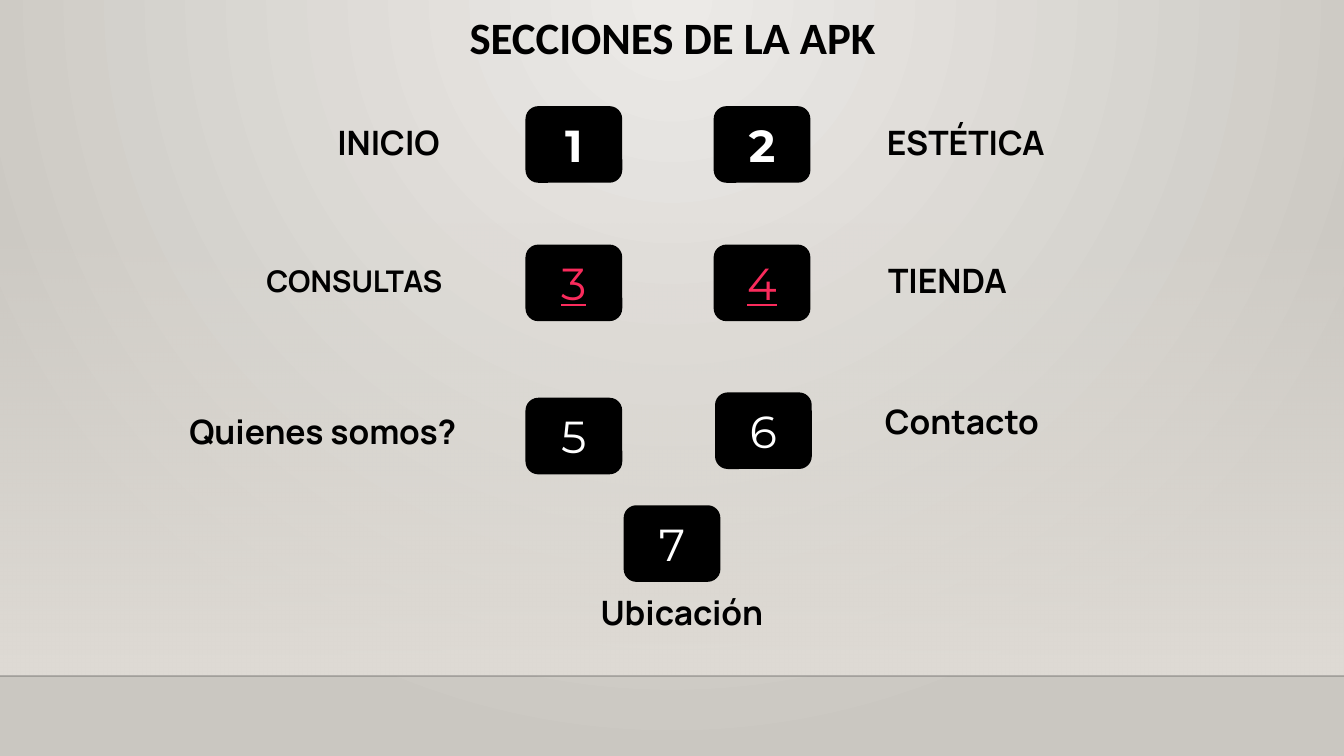
"""Build the slide that lists the seven sections of the app."""
from lxml import etree
from pptx import Presentation
from pptx.dml.color import RGBColor
from pptx.enum.shapes import MSO_CONNECTOR as CONNECTOR, MSO_SHAPE as SHAPE
from pptx.enum.text import MSO_ANCHOR as ANCHOR, MSO_AUTO_SIZE as AUTO_SIZE, PP_ALIGN as ALIGN
from pptx.oxml import parse_xml
from pptx.oxml.ns import nsdecls, qn
from pptx.util import Inches, Pt

COLORS = {"black": "000000", "white": "FFFFFF", "pink": "FA2B5C", "line": "000001",
          "light": "ECEAE7", "dark": "CAC7C1", "wall": "DFDBD5"}


def set_gradient(properties, stops, direction):
    """Replace the solid fill in the properties with a gradient."""
    stop_xml = "".join(
        f'<a:gs pos="{position * 1000}"><a:srgbClr val="{COLORS[color]}">'
        f'<a:alpha val="{alpha * 1000}"/></a:srgbClr></a:gs>'
        for position, color, alpha in stops)
    gradient = parse_xml(f'<a:gradFill {nsdecls("a")} rotWithShape="1">'
                         f'<a:gsLst>{stop_xml}</a:gsLst>{direction}</a:gradFill>')
    properties.replace(properties.find(qn("a:solidFill")), gradient)


def write_text(shape, text, align, color="black", spacing=1.0, **font_format):
    """Put one formatted paragraph in the shape."""
    frame = shape.text_frame
    frame_format = {"word_wrap": True, "auto_size": AUTO_SIZE.NONE,
                    "vertical_anchor": ANCHOR.MIDDLE}
    frame_format.update({f"margin_{side}": Inches(0.1)
                         for side in ("left", "top", "right", "bottom")})
    for name, value in frame_format.items():
        setattr(frame, name, value)
    paragraph = frame.paragraphs[0]
    paragraph.alignment = align
    paragraph.line_spacing = spacing
    run = paragraph.add_run()
    run.text = text
    for name, value in font_format.items():
        setattr(run.font, name, value)
    run.font.color.rgb = RGBColor.from_string(COLORS[color])


presentation = Presentation()
presentation.slide_width = Inches(10)
presentation.slide_height = Inches(10 * 9 / 16)
slide = presentation.slides.add_slide(presentation.slide_layouts[5])
shapes = slide.shapes

slide.background.fill.solid()
set_gradient(slide.element.xpath(".//p:bgPr")[0], [(0, "light", 100), (100, "dark", 100)],
             '<a:path path="circle"><a:fillToRect l="43000" r="43000" b="100000"/></a:path>')

wall = shapes.add_shape(SHAPE.RECTANGLE, 0, Inches(1.66), Inches(10), Inches(3.37))
wall.shadow.inherit = False
wall.line.fill.background()
wall.fill.solid()
set_gradient(wall.element.spPr, [(0, "wall", 0), (100, "wall", 100)],
             '<a:lin ang="5400000" scaled="0"/>')

floor_line = shapes.add_connector(CONNECTOR.STRAIGHT, 0, Inches(5.03), Inches(10), Inches(5.03))
floor_line.line.width = Pt(1)
floor_line.line.color.rgb = RGBColor.from_string(COLORS["line"])
line_color = floor_line.element.spPr.find(".//" + qn("a:srgbClr"))
etree.SubElement(line_color, qn("a:alpha"), val="20000")
etree.SubElement(floor_line.element.spPr, qn("a:effectLst"))

title = shapes.title
title_place = {"left": 0.79, "top": -0.02, "width": 8.43, "height": 0.63}
for name, value in title_place.items():
    setattr(title, name, Inches(value))
write_text(title, "SECCIONES DE LA APK", ALIGN.CENTER, spacing=0.9,
           size=Pt(24), name="Calibri", bold=True)

buttons = [
    ("1", 3.91, 0.79, "white", {"bold": True}),
    ("2", 5.31, 0.79, "white", {"bold": True}),
    ("3", 3.91, 1.82, "pink", {"underline": True}),
    ("4", 5.31, 1.82, "pink", {"underline": True}),
    ("5", 3.91, 2.96, "white", {}),
    ("6", 5.32, 2.92, "white", {}),
    ("7", 4.64, 3.76, "white", {}),
]
for number, left, top, color, emphasis in buttons:
    button = shapes.add_shape(SHAPE.ROUNDED_RECTANGLE, Inches(left), Inches(top),
                              Inches(0.72), Inches(0.57))
    button.shadow.inherit = False
    button.fill.solid()
    button.fill.fore_color.rgb = RGBColor.from_string(COLORS["black"])
    button.line.fill.background()
    write_text(button, number, ALIGN.CENTER, color, size=Pt(24), name="Montserrat", **emphasis)

labels = [
    ("INICIO", 1.7, 0.92, 1.67, ALIGN.RIGHT, 18, 0.9),
    ("ESTÉTICA", 6.5, 0.92, 1.67, ALIGN.LEFT, 18, 0.9),
    ("CONSULTAS", 1.72, 1.95, 1.67, ALIGN.RIGHT, 16, 0.9),
    ("TIENDA", 6.51, 1.95, 1.66, ALIGN.LEFT, 18, 0.9),
    ("Quienes somos?", 1.31, 3.05, 2.45, ALIGN.LEFT, 18, 1.0),
    ("Contacto", 6.16, 2.98, 1.67, ALIGN.RIGHT, 18, 1.0),
    ("Ubicación", 4.37, 4.4, 1.66, ALIGN.LEFT, 18, 1.0),
]
for text, left, top, width, align, size, spacing in labels:
    label = shapes.add_textbox(Inches(left), Inches(top), Inches(width), Inches(0.31))
    write_text(label, text, align, spacing=spacing, size=Pt(size), name="Manrope", bold=True)

presentation.save("out.pptx")
